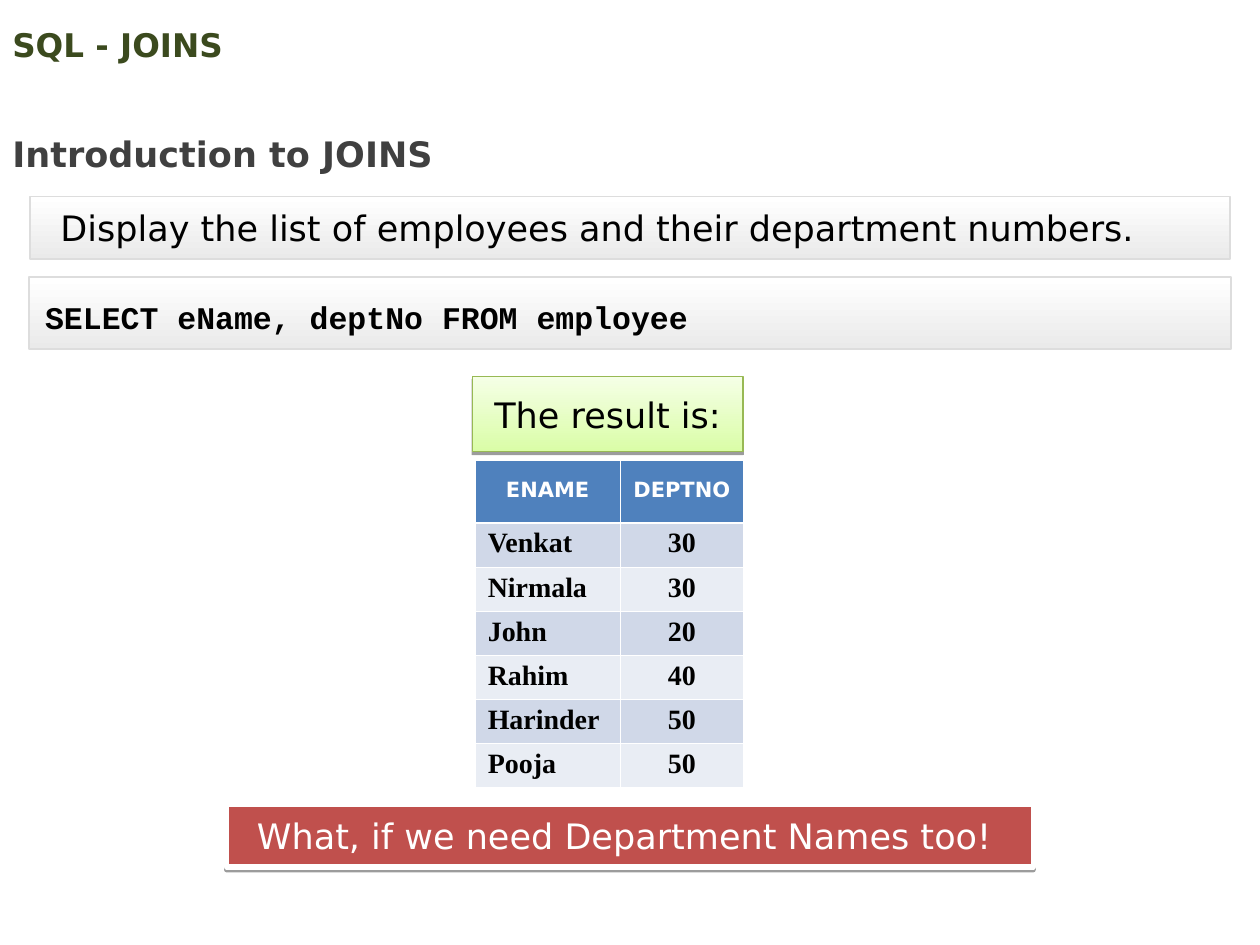
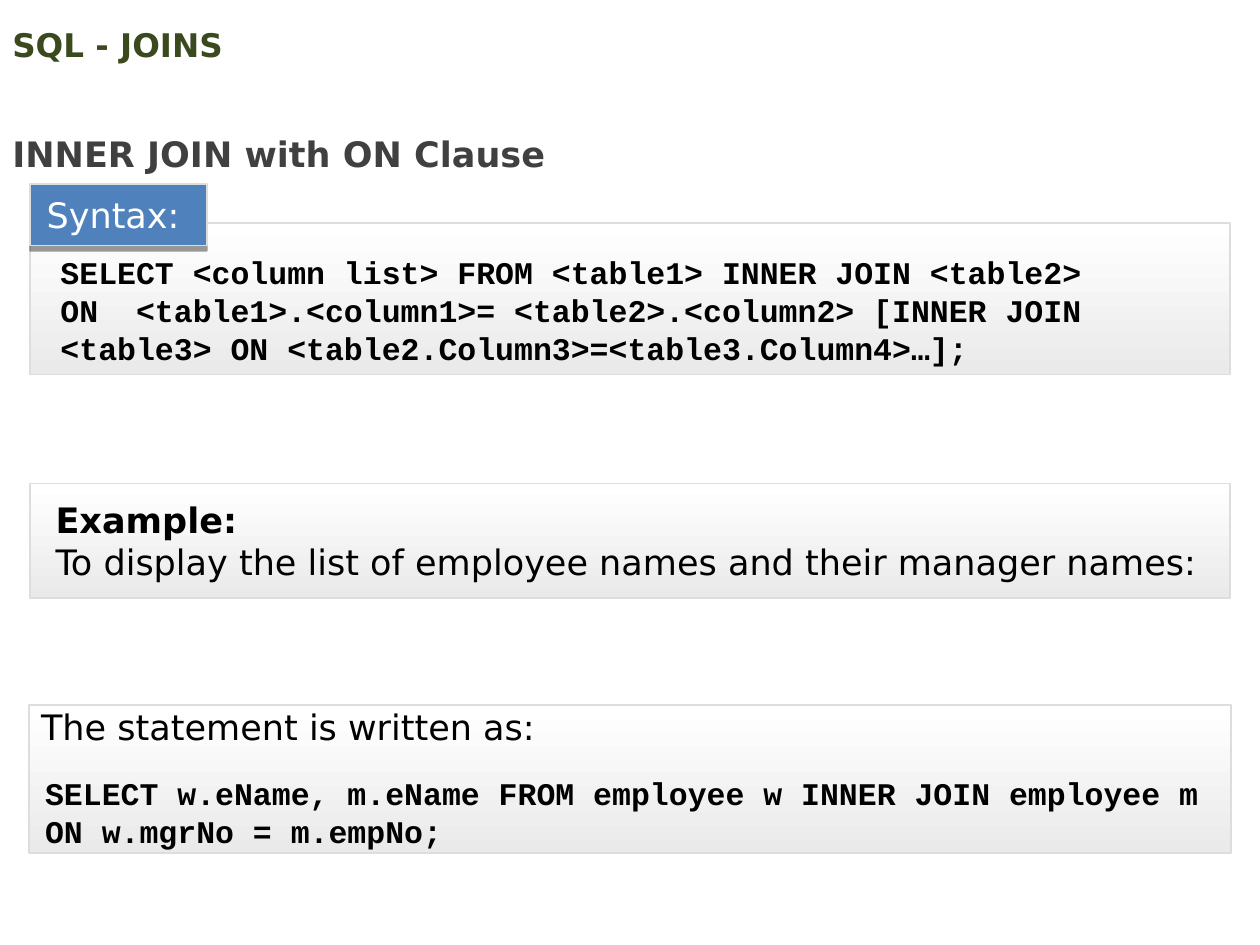
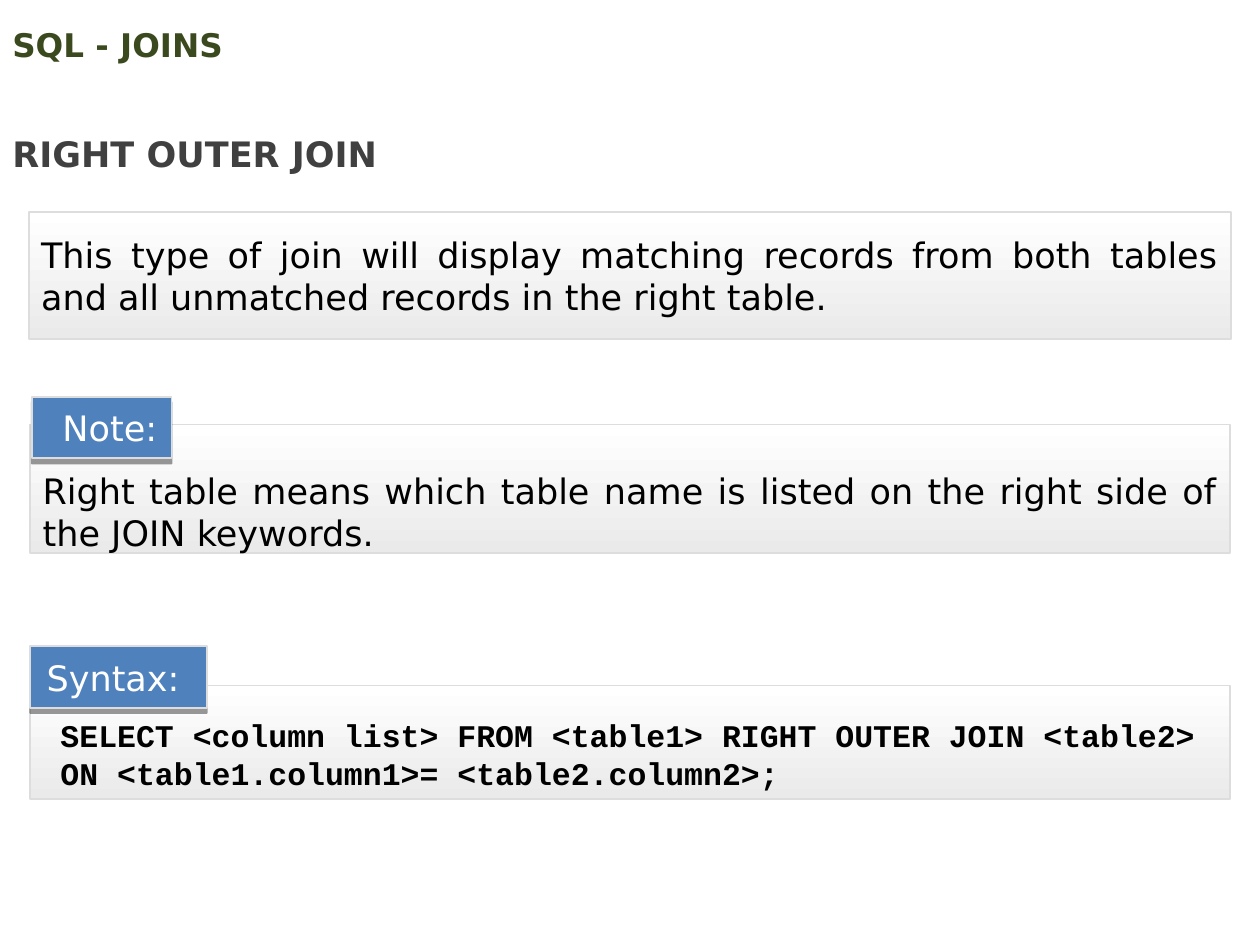
from dataclasses import dataclass

from lxml.etree import SubElement
from pptx import Presentation
from pptx.dml.color import RGBColor
from pptx.enum.shapes import MSO_SHAPE
from pptx.enum.text import MSO_ANCHOR, PP_ALIGN
from pptx.oxml.ns import qn
from pptx.util import Cm, Pt


@dataclass(frozen=True)
class TextStyle:
    font: str
    size: float
    color: str
    bold: bool = False


@dataclass(frozen=True)
class Theme:
    title = TextStyle("DejaVu Sans", 18.6, "3B4A1E", True)
    heading = TextStyle("DejaVu Sans", 20, "404040", True)
    body = TextStyle("DejaVu Sans", 20, "000000")
    strong = TextStyle("DejaVu Sans", 20, "000000", True)
    tag = TextStyle("DejaVu Sans", 20, "FFFFFF")
    code = TextStyle("Courier New", 18, "000000", True)
    column_head = TextStyle("DejaVu Sans", 12, "FFFFFF", True)
    record = TextStyle("Times New Roman", 16, "000000", True)
    panel_fill = ("FFFFFF", "EAEAEA")
    panel_line = "DDDDDD"
    result_fill = ("F5FFE6", "DAFDA7")
    result_line = "98B954"
    blue = "4F81BD"
    red = "C0504D"
    white = "FFFFFF"
    shadow = "000000"
    bands = ("D0D8E8", "E9EDF4")
    thin_border = 0.45
    thick_border = 1.47


class Deck:
    def __init__(self, theme):
        self.theme = theme
        self.presentation = Presentation()
        self.presentation.slide_width = Cm(25.4)
        self.presentation.slide_height = Cm(19.05)
        self.slide = None

    def start_slide(self, heading):
        blank = self.presentation.slide_layouts[6]
        self.slide = self.presentation.slides.add_slide(blank)
        self.text((0, 0.36, 22.86, 1.09), "SQL - JOINS", self.theme.title, MSO_ANCHOR.MIDDLE)
        self.text((0, 2.11, 18, 1.52), heading, self.theme.heading, spacing=1.5)

    def set_lines(self, frame, lines, align=PP_ALIGN.LEFT, spacing=None):
        frame.text = "\n".join(words for words, _ in lines)
        for paragraph, (_, style) in zip(frame.paragraphs, lines):
            paragraph.alignment = align
            paragraph.line_spacing = spacing
            for run in paragraph.runs:
                run.font.name = style.font
                run.font.size = Pt(style.size)
                run.font.bold = style.bold
                run.font.color.rgb = RGBColor.from_string(style.color)

    def set_frame(self, frame, anchor, sides, top, bottom):
        frame.word_wrap = True
        frame.vertical_anchor = anchor
        frame.margin_left = frame.margin_right = Cm(sides)
        frame.margin_top, frame.margin_bottom = Cm(top), Cm(bottom)

    def text(self, place, words, style, anchor=MSO_ANCHOR.TOP, spacing=None):
        frame = self.slide.shapes.add_textbox(*map(Cm, place)).text_frame
        self.set_frame(frame, anchor, 0.25, 0.13, 0.13)
        self.set_lines(frame, [(words, style)], spacing=spacing)

    def box(self, place, fill, line, width, shadow=None):
        box = self.slide.shapes.add_shape(MSO_SHAPE.RECTANGLE, *map(Cm, place))
        box.shadow.inherit = False
        if isinstance(fill, tuple):
            box.fill.gradient()
            box.fill.gradient_angle = 270
            for stop, color in zip(box.fill.gradient_stops, fill):
                stop.color.rgb = RGBColor.from_string(color)
        else:
            box.fill.solid()
            box.fill.fore_color.rgb = RGBColor.from_string(fill)
        box.line.color.rgb = RGBColor.from_string(line)
        box.line.width = Pt(width)
        if shadow:
            self.drop_shadow(box, *shadow)
        return box

    def drop_shadow(self, box, distance, opacity):
        effects = box.element.spPr.find(qn("a:effectLst"))
        outer = SubElement(effects, qn("a:outerShdw"), blurRad="0", dist=str(Pt(distance)),
                           dir="5400000", algn="t", rotWithShape="0")
        color = SubElement(outer, qn("a:srgbClr"), val=self.theme.shadow)
        SubElement(color, qn("a:alpha"), val=str(opacity * 1000))

    def panel(self, place, *lines, anchor=MSO_ANCHOR.MIDDLE, align=PP_ALIGN.LEFT, sides=0.25, top=0):
        panel = self.box(place, self.theme.panel_fill, self.theme.panel_line, 1)
        self.set_frame(panel.text_frame, anchor, sides, top, 0)
        self.set_lines(panel.text_frame, lines, align)

    def tag(self, place, words, align=PP_ALIGN.LEFT):
        tag = self.box(place, self.theme.blue, self.theme.panel_line, 1, (3, 40))
        self.set_frame(tag.text_frame, MSO_ANCHOR.MIDDLE, 0, 0, 0)
        tag.text_frame.margin_left = Cm(0.33)
        self.set_lines(tag.text_frame, [(words, self.theme.tag)], align)

    def syntax(self, top, height, *code):
        lines = [(words, self.theme.code) for words in code]
        self.panel((0.61, top, 24.18, height), *lines, anchor=MSO_ANCHOR.TOP, sides=0.61, top=0.61)
        self.tag((0.61, top - 0.79, 3.56, 1.24), "Syntax:")

    def result(self, place, words):
        result = self.box(place, self.theme.result_fill, self.theme.result_line, 0.75, (1.6, 38))
        self.set_frame(result.text_frame, MSO_ANCHOR.MIDDLE, 0.25, 0, 0)
        self.set_lines(result.text_frame, [(words, self.theme.body)], PP_ALIGN.CENTER)

    def banner(self, place, words):
        banner = self.box(place, self.theme.red, self.theme.white, 3, (1.6, 38))
        self.set_frame(banner.text_frame, MSO_ANCHOR.MIDDLE, 0.61, 0, 0)
        self.set_lines(banner.text_frame, [(words, self.theme.tag)])

    def border(self, cell, side, width):
        edge = SubElement(cell._tc.get_or_add_tcPr(), qn(f"a:ln{side}"), w=str(Pt(width)))
        fill = SubElement(edge, qn("a:solidFill"))
        SubElement(fill, qn("a:srgbClr"), val=self.theme.white)

    def table(self, place, widths, heights, records):
        theme = self.theme
        table = self.slide.shapes.add_table(len(records), len(widths), *map(Cm, place)).table
        for column, width in zip(table.columns, widths):
            column.width = Cm(width)
        for row, (height, record) in enumerate(zip(heights, records)):
            table.rows[row].height = Cm(height)
            for column, words in enumerate(record):
                cell = table.cell(row, column)
                cell.vertical_anchor = MSO_ANCHOR.MIDDLE
                for side in "LRTB":
                    under_head = (row, side) in ((0, "B"), (1, "T"))
                    self.border(cell, side, theme.thick_border if under_head else theme.thin_border)
                cell.fill.solid()
                fill = theme.bands[(row - 1) % 2] if row else theme.blue
                cell.fill.fore_color.rgb = RGBColor.from_string(fill)
                style = theme.record if row else theme.column_head
                align = PP_ALIGN.LEFT if row and column == 0 else PP_ALIGN.CENTER
                self.set_lines(cell.text_frame, [(words, style)], align, 0.86)


def introduction(deck):
    theme = deck.theme
    deck.start_slide("Introduction to JOINS")
    deck.panel((0.61, 3.96, 24.18, 1.27),
               ("Display the list of employees and their department numbers.", theme.body), sides=0.61)
    deck.panel((0.58, 5.59, 24.23, 1.45))
    deck.text((0.66, 5.87, 24.1, 1.02), "SELECT eName, deptNo FROM employee", theme.code)
    employees = [("ENAME", "DEPTNO"), ("Venkat", "30"), ("Nirmala", "30"), ("John", "20"),
                 ("Rahim", "40"), ("Harinder", "50"), ("Pooja", "50")]
    deck.table((9.58, 9.27, 5.41, 6.6), (2.92, 2.49), [1.27] + [0.89] * 6, employees)
    deck.result((9.52, 7.59, 5.46, 1.52), "The result is:")
    deck.banner((4.57, 16.21, 16.26, 1.27), "What, if we need Department Names too!")


def inner_join(deck):
    theme = deck.theme
    deck.start_slide("INNER JOIN with ON Clause")
    deck.syntax(4.5, 3.05, "SELECT <column list> FROM <table1> INNER JOIN <table2>",
                "ON  <table1>.<column1>= <table2>.<column2> [INNER JOIN "
                "<table3> ON <table2.Column3>=<table3.Column4>…];")
    deck.panel((0.61, 9.75, 24.18, 2.31), ("Example:", theme.strong),
               ("To display the list of employee names and their manager names:", theme.body), sides=0.51)
    deck.panel((0.58, 14.22, 24.23, 2.97), ("The statement is written as:", theme.body),
               anchor=MSO_ANCHOR.TOP)
    deck.text((0.66, 15.47, 24.1, 1.78),
              "SELECT w.eName, m.eName FROM employee w INNER JOIN employee m ON w.mgrNo = m.empNo;",
              theme.code)


def right_outer_join(deck):
    theme = deck.theme
    deck.start_slide("RIGHT OUTER JOIN")
    deck.panel((0.58, 4.27, 24.23, 2.57),
               ("This type of join will display matching records from both tables "
                "and all unmatched records in the right table.", theme.body), align=PP_ALIGN.JUSTIFY)
    deck.syntax(13.82, 2.29, "SELECT <column list> FROM <table1> RIGHT OUTER JOIN <table2> "
                "ON <table1.column1>= <table2.column2>;")
    deck.panel((0.61, 8.56, 24.18, 2.59),
               ("Right table means which table name is listed on the right side of "
                "the JOIN keywords.", theme.body), anchor=MSO_ANCHOR.BOTTOM, align=PP_ALIGN.JUSTIFY)
    deck.tag((0.64, 8, 2.82, 1.24), "Note:", PP_ALIGN.CENTER)


def main():
    deck = Deck(Theme())
    introduction(deck)
    inner_join(deck)
    right_outer_join(deck)
    deck.presentation.save("out.pptx")


if __name__ == "__main__":
    main()
